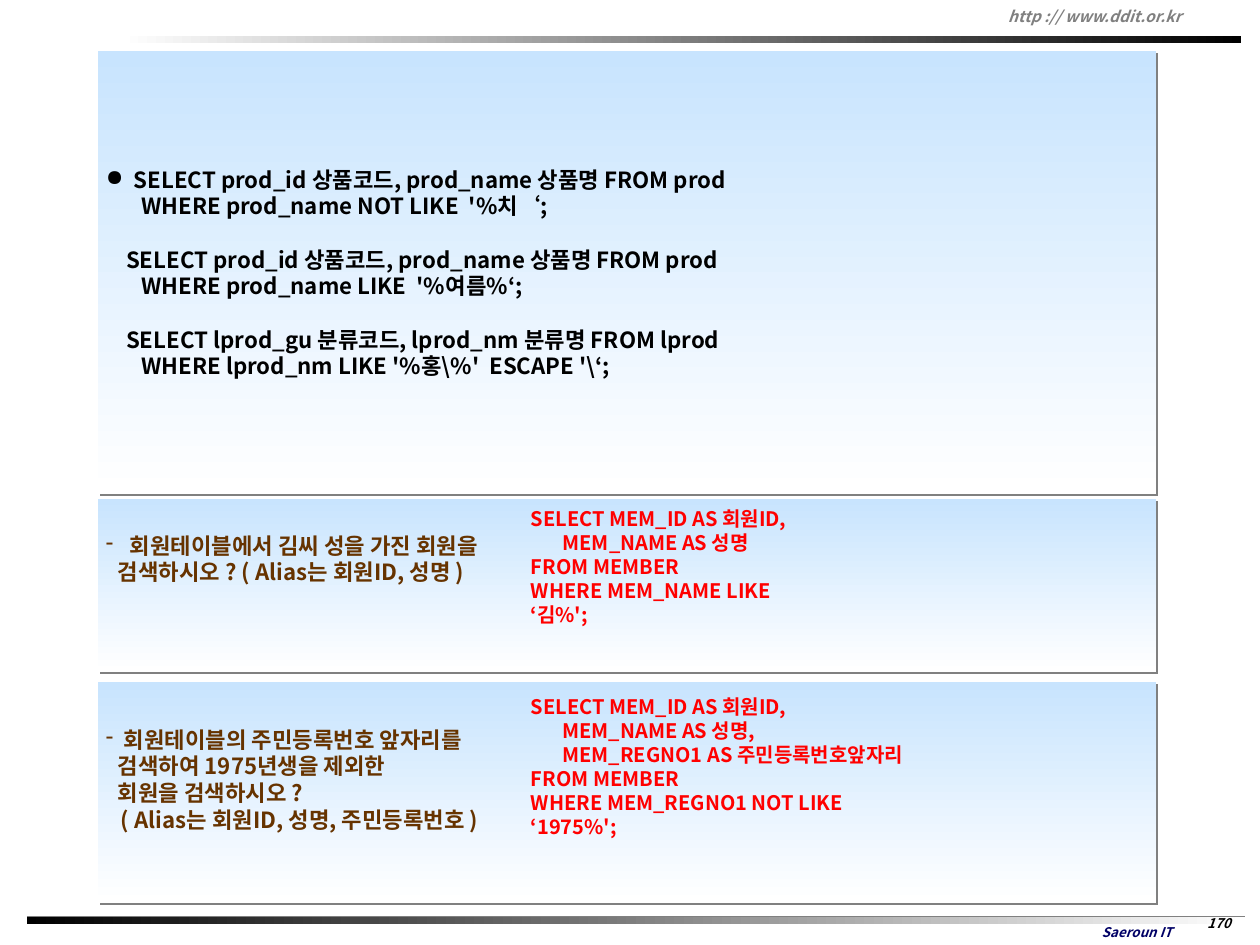
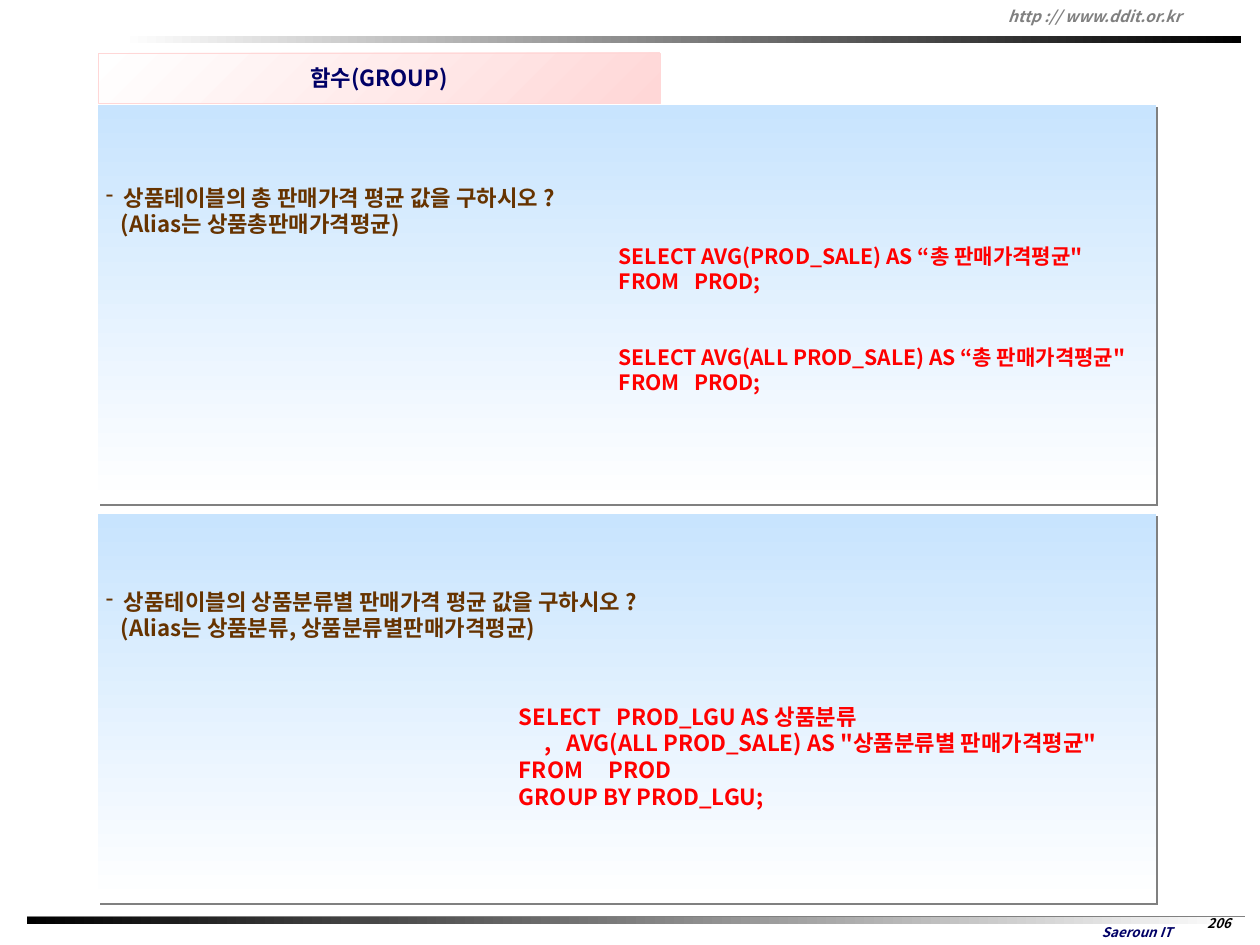
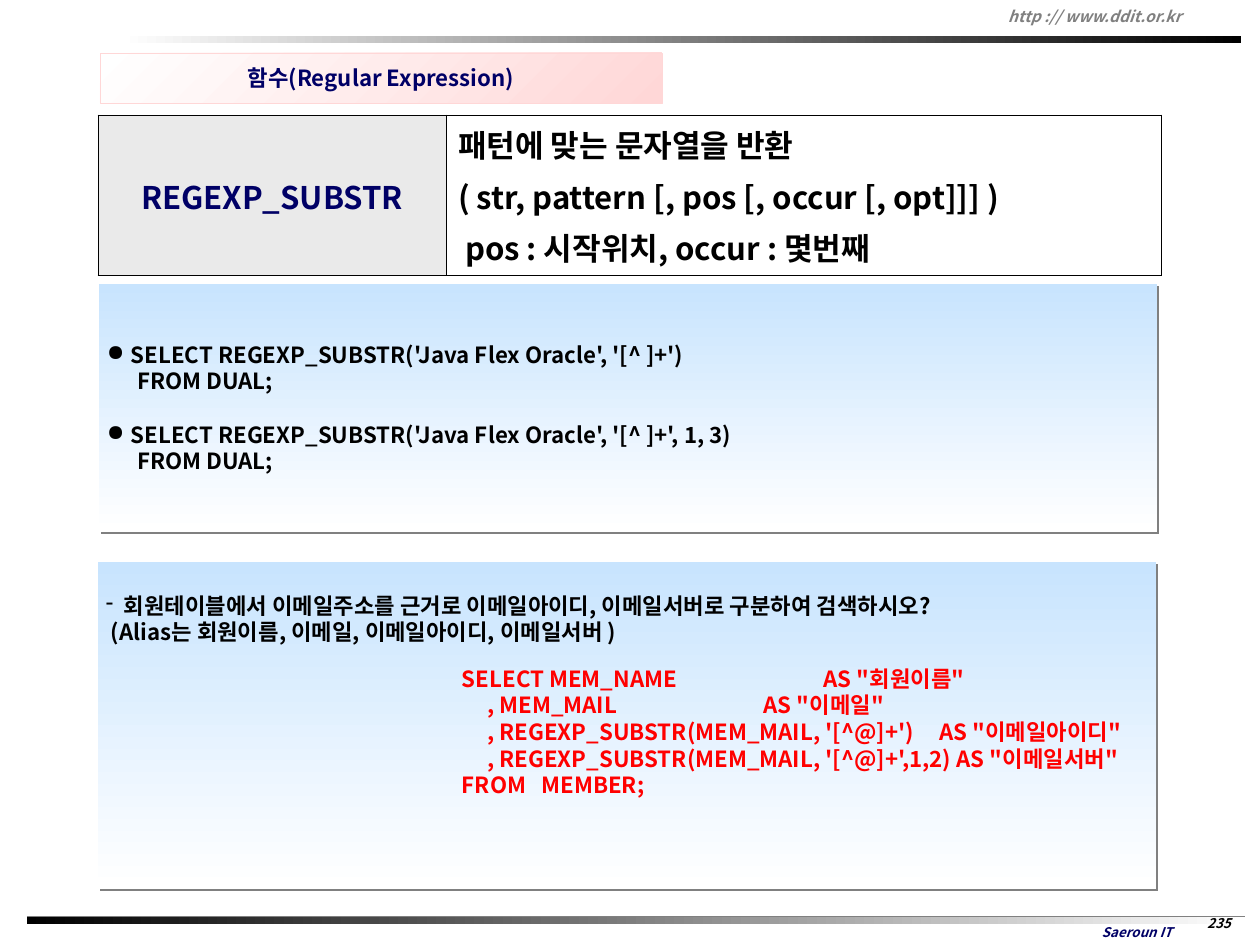
from dataclasses import dataclass
from typing import Any, Optional

from lxml import etree
from pptx import Presentation
from pptx.dml.color import RGBColor
from pptx.enum.shapes import MSO_CONNECTOR, MSO_SHAPE
from pptx.enum.text import MSO_ANCHOR, PP_ALIGN
from pptx.oxml.ns import qn
from pptx.util import Emu, Pt

PX = 11430
FONT = "Noto Sans CJK KR"
RECT = MSO_SHAPE.RECTANGLE
WIRE = MSO_CONNECTOR.STRAIGHT
LEFT, MID = PP_ALIGN.LEFT, PP_ALIGN.CENTER
TOP, HALF = MSO_ANCHOR.TOP, MSO_ANCHOR.MIDDLE

BLACK = RGBColor(0, 0, 0)
WHITE = RGBColor(255, 255, 255)
GRAY = RGBColor(0x80, 0x80, 0x80)
PALE = RGBColor(0xEA, 0xEA, 0xEA)
NAVY = RGBColor(0, 0, 0x66)
BROWN = RGBColor(0x66, 0x33, 0)
RED = RGBColor(255, 0, 0)
SKY = RGBColor(0xC8, 0xE4, 0xFE)
PINK = RGBColor(0xFF, 0xD7, 0xD7)


@dataclass(frozen=True)
class Box:
    x: int
    y: int
    w: int
    h: int

    def emu(self) -> tuple[Emu, ...]:
        return tuple(Emu(v * PX) for v in (self.x, self.y, self.w, self.h))


@dataclass(frozen=True)
class Line:
    """One paragraph: left indent in px, bullet mark, gap above in lines."""
    text: str
    left: int = 0
    mark: str = ""
    gap: float = 0


@dataclass(frozen=True)
class Panel:
    box: Box
    top: int
    color: RGBColor
    lines: tuple[Line, ...]


@dataclass(frozen=True)
class Code:
    box: Box
    size: int
    lines: tuple[Line, ...]


@dataclass(frozen=True)
class Page:
    no: str
    panels: tuple[Panel, ...]
    codes: tuple[Code, ...]
    title: str = ""
    left: int = 98
    name: str = ""
    usage: tuple[Line, ...] = ()


def write(frame: Any, *lines: Line, size: int = 20, color: RGBColor = BLACK,
          align: PP_ALIGN = LEFT, italic: bool = False,
          lead: Optional[float] = 1.2) -> None:
    """Fill a text frame; lead is the line pitch in font sizes, None for natural."""
    for i, line in enumerate(lines):
        para = frame.add_paragraph() if i else frame.paragraphs[0]
        para.alignment = align
        if lead:
            para.line_spacing = Pt(lead * size)
        if line.gap:
            para.space_before = Pt(line.gap * size * (lead or 1))
        prop = para._p.get_or_add_pPr()
        if line.left:
            prop.set("marL", str(line.left * PX))
        if line.mark:
            prop.set("indent", str(-line.left * PX))
            etree.SubElement(prop, qn("a:buChar")).set("char", line.mark)
        run = para.add_run()
        run.text = line.text
        font = run.font
        font.name, font.size = FONT, Pt(size)
        font.bold, font.italic = True, italic
        font.color.rgb = color
        etree.SubElement(run._r.get_or_add_rPr(), qn("a:ea")).set("typeface", FONT)


def label(slide: Any, box: Box, *lines: Line, anchor: MSO_ANCHOR = TOP,
          wrap: bool = True, **form: Any) -> None:
    frame = slide.shapes.add_textbox(*box.emu()).text_frame
    frame.word_wrap = wrap
    frame.vertical_anchor = anchor
    frame.margin_left = frame.margin_right = Emu(8 * PX)
    frame.margin_top = frame.margin_bottom = Emu(4 * PX)
    write(frame, *lines, **form)


def blend(slide: Any, box: Box, start: RGBColor, end: RGBColor, angle: int) -> Any:
    """Rectangle with a two-colour gradient; the angle runs clockwise."""
    shape = slide.shapes.add_shape(RECT, *box.emu())
    shape.shadow.inherit = False
    shape.line.fill.background()
    shape.fill.gradient()
    shape.fill.gradient_angle = (360 - angle) % 360
    for stop, color in zip(shape.fill.gradient_stops, (start, end)):
        stop.color.rgb = color
    return shape


def base(slide: Any, no: str) -> None:
    """Bands, address, footer and page number found on every slide."""
    rule = slide.shapes.add_connector(
        WIRE, *(Emu(v * PX) for v in (27, 917, 1245, 917)))
    rule.line.color.rgb = GRAY
    rule.line.width = Pt(1.5)
    etree.SubElement(rule._element.spPr, qn("a:effectLst"))
    blend(slide, Box(27, 917, 1218, 7), BLACK, WHITE, 0)
    blend(slide, Box(121, 36, 1120, 7), WHITE, BLACK, 0)
    label(slide, Box(1061, 919, 152, 26), Line("Saeroun IT"), anchor=HALF,
          size=12, color=NAVY, align=MID, italic=True, lead=None)
    label(slide, Box(1000, 1, 257, 30), Line("http :// www.ddit.or.kr"),
          anchor=HALF, size=14, color=GRAY, italic=True, lead=None)
    label(slide, Box(1184, 911, 70, 25), Line(no),
          size=12, align=MID, italic=True)


def head(slide: Any, text: str, left: int) -> None:
    shape = blend(slide, Box(left, 53, 562, 50), WHITE, PINK, 45)
    shape.line.color.rgb = PINK
    shape.line.width = Pt(0.75)
    frame = shape.text_frame
    frame.word_wrap = False
    frame.vertical_anchor = HALF
    write(frame, Line(text), color=NAVY, align=MID, lead=None)


def board(slide: Any, panel: Panel) -> None:
    """Blue panel with a hard shadow, its text starting at panel.top."""
    shape = blend(slide, panel.box, SKY, WHITE, 90)
    cast = etree.SubElement(
        shape._element.spPr.find(qn("a:effectLst")), qn("a:outerShdw"),
        blurRad="0", dist=str(Pt(2.8)), dir="2700000", algn="ctr", rotWithShape="0")
    etree.SubElement(cast, qn("a:srgbClr")).set("val", str(GRAY))
    frame = shape.text_frame
    frame.word_wrap = True
    frame.vertical_anchor = TOP
    frame.margin_left = frame.margin_right = Emu(8 * PX)
    frame.margin_top = Emu(panel.top * PX)
    write(frame, *panel.lines, color=panel.color)


def edge(cell: Any) -> None:
    """Black 1 pt border on all four sides, placed ahead of the fill."""
    prop = cell._tc.get_or_add_tcPr()
    for i, side in enumerate(("lnL", "lnR", "lnT", "lnB")):
        line = etree.Element(qn("a:" + side), w=str(Pt(1)))
        fill = etree.SubElement(line, qn("a:solidFill"))
        etree.SubElement(fill, qn("a:srgbClr")).set("val", str(BLACK))
        prop.insert(i, line)


def grid(slide: Any, name: str, usage: tuple[Line, ...]) -> None:
    """Table with the function name beside its usage."""
    table = slide.shapes.add_table(1, 2, *Box(98, 115, 1063, 161).emu()).table
    table.first_row = table.horz_banding = False
    parts = ((348, PALE, (Line(name),), NAVY, MID),
             (715, WHITE, usage, BLACK, LEFT))
    for i, (wide, back, lines, color, align) in enumerate(parts):
        table.columns[i].width = Emu(wide * PX)
        cell = table.cell(0, i)
        cell.fill.solid()
        cell.fill.fore_color.rgb = back
        cell.vertical_anchor = HALF
        cell.margin_left = cell.margin_right = Emu(12 * PX)
        cell.margin_top = cell.margin_bottom = Emu(6 * PX)
        edge(cell)
        write(cell.text_frame, *lines, size=28, color=color, align=align, lead=None)


PAGES = (
    Page(
        no="170",
        panels=(
            Panel(Box(98, 51, 1058, 443), 115, BLACK, (
                Line("SELECT prod_id 상품코드, prod_name 상품명 FROM prod", 28, "●"),
                Line("       WHERE prod_name NOT LIKE  '%치‘;"),
                Line("    SELECT prod_id 상품코드, prod_name 상품명 FROM prod", gap=1),
                Line("       WHERE prod_name LIKE  '%여름%‘;"),
                Line("    SELECT lprod_gu 분류코드, lprod_nm 분류명 FROM lprod", gap=1),
                Line("       WHERE lprod_nm LIKE '%홍\\%'  ESCAPE '\\‘;"))),
            Panel(Box(98, 499, 1058, 173), 33, BROWN, (
                Line("회원테이블에서 김씨 성을 가진 회원을", 24, "-"),
                Line("검색하시오 ? ( Alias는 회원ID, 성명 )", 12))),
            Panel(Box(98, 682, 1058, 221), 44, BROWN, (
                Line("회원테이블의 주민등록번호 앞자리를", 18, "-"),
                Line("검색하여 1975년생을 제외한", 12),
                Line("회원을 검색하시오 ?", 12),
                Line("( Alias는 회원ID, 성명, 주민등록번호 )", 15))),
        ),
        codes=(
            Code(Box(523, 503, 286, 128), 18, (
                Line("SELECT MEM_ID AS 회원ID,"),
                Line("       MEM_NAME AS 성명"),
                Line("FROM MEMBER"),
                Line("WHERE MEM_NAME LIKE ‘김%';"))),
            Code(Box(523, 691, 402, 152), 18, (
                Line("SELECT MEM_ID AS 회원ID,"),
                Line("       MEM_NAME AS 성명,"),
                Line("       MEM_REGNO1 AS 주민등록번호앞자리"),
                Line("FROM MEMBER"),
                Line("WHERE MEM_REGNO1 NOT LIKE ‘1975%';"))),
        ),
    ),
    Page(
        no="206",
        title="함수(GROUP)",
        panels=(
            Panel(Box(98, 105, 1058, 399), 79, BROWN, (
                Line("상품테이블의 총 판매가격 평균 값을 구하시오 ?", 18, "-"),
                Line("(Alias는 상품총판매가격평균)", 15))),
            Panel(Box(98, 514, 1058, 389), 74, BROWN, (
                Line("상품테이블의 상품분류별 판매가격 평균 값을 구하시오 ?", 18, "-"),
                Line("(Alias는 상품분류, 상품분류별판매가격평균)", 15))),
        ),
        codes=(
            Code(Box(611, 239, 523, 187), 19, (
                Line("SELECT AVG(PROD_SALE) AS “총 판매가격평균\""),
                Line("FROM   PROD;"),
                Line("SELECT AVG(ALL PROD_SALE) AS “총 판매가격평균\"", gap=2),
                Line("FROM   PROD;"))),
            Code(Box(511, 699, 650, 116), 20, (
                Line("SELECT   PROD_LGU AS 상품분류"),
                Line("     ,   AVG(ALL PROD_SALE) AS \"상품분류별 판매가격평균\""),
                Line("FROM     PROD"),
                Line("GROUP BY PROD_LGU;"))),
        ),
    ),
    Page(
        no="235",
        title="함수(Regular Expression)",
        left=100,
        name="REGEXP_SUBSTR",
        usage=(
            Line("패턴에 맞는 문자열을 반환"),
            Line("( str, pattern [, pos [, occur [, opt]]] )", gap=0.2),
            Line("pos : 시작위치, occur : 몇번째", 7, gap=0.2)),
        panels=(
            Panel(Box(98, 562, 1058, 327), 30, BLACK, (
                Line("회원테이블에서 이메일주소를 근거로 이메일아이디, "
                     "이메일서버로 구분하여 검색하시오?", 18, "-"),
                Line("(Alias는 회원이름, 이메일, 이메일아이디, 이메일서버 )", 5))),
            Panel(Box(99, 284, 1058, 248), 57, BLACK, (
                Line("SELECT REGEXP_SUBSTR('Java Flex Oracle', '[^ ]+')", 24, "●"),
                Line("      FROM DUAL;"),
                Line("SELECT REGEXP_SUBSTR('Java Flex Oracle', '[^ ]+', 1, 3)",
                     24, "●", 1),
                Line("      FROM DUAL;"))),
        ),
        codes=(
            Code(Box(454, 661, 694, 142), 20, (
                Line("SELECT MEM_NAME                             AS \"회원이름\""),
                Line("     , MEM_MAIL                             AS \"이메일\""),
                Line("     , REGEXP_SUBSTR(MEM_MAIL, '[^@]+')     AS \"이메일아이디\""),
                Line("     , REGEXP_SUBSTR(MEM_MAIL, '[^@]+',1,2) AS \"이메일서버\""),
                Line("FROM   MEMBER;"))),
        ),
    ),
)


def main() -> None:
    deck = Presentation()
    deck.slide_width, deck.slide_height = Emu(1260 * PX), Emu(945 * PX)
    for page in PAGES:
        slide = deck.slides.add_slide(deck.slide_layouts[6])
        base(slide, page.no)
        if page.title:
            head(slide, page.title, page.left)
        if page.name:
            grid(slide, page.name, page.usage)
        for panel in page.panels:
            board(slide, panel)
        for code in page.codes:
            label(slide, code.box, *code.lines, size=code.size, color=RED)
    deck.save("out.pptx")


if __name__ == "__main__":
    main()
